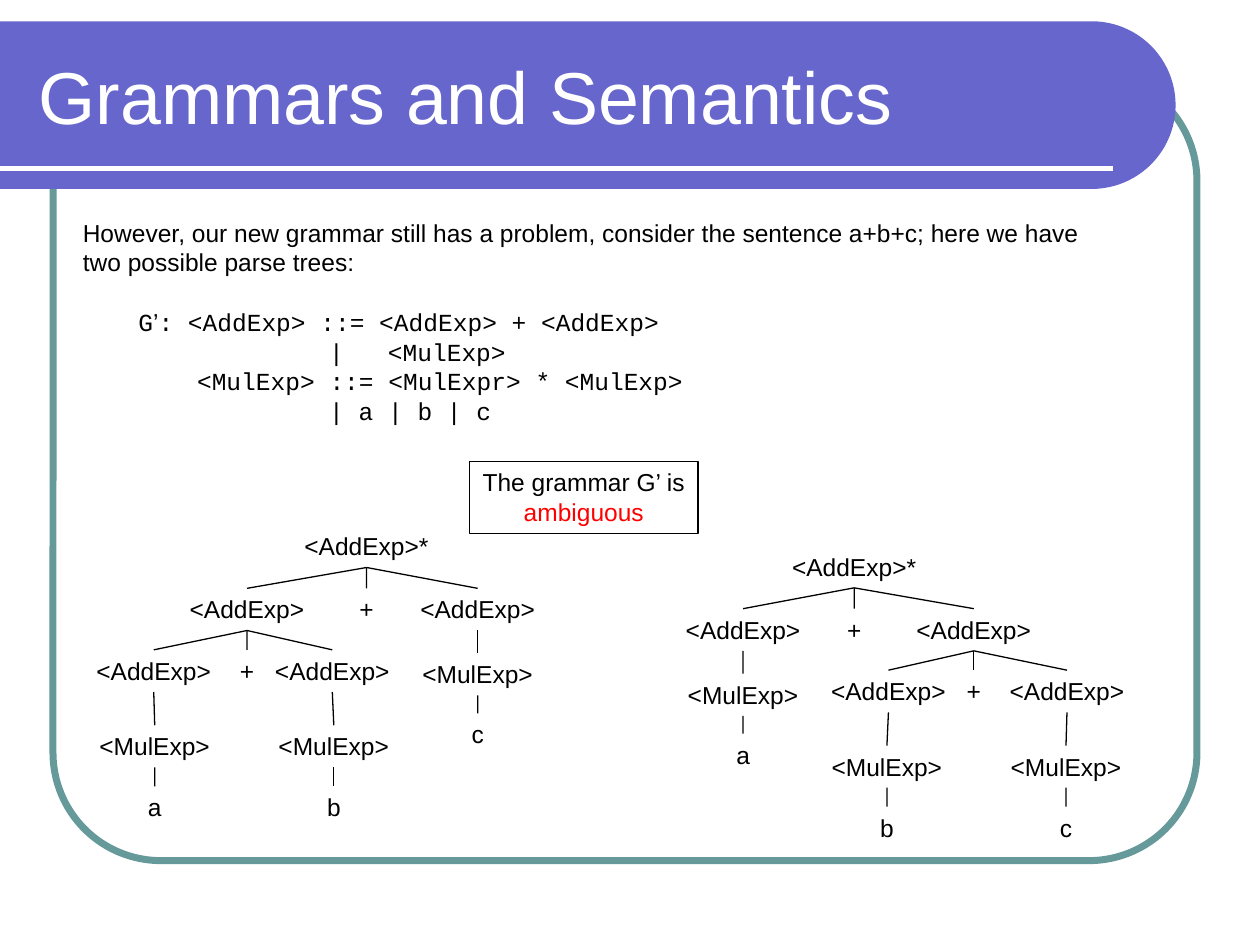
from math import cos, pi, sin

from lxml.etree import SubElement
from pptx import Presentation
from pptx.dml.color import RGBColor
from pptx.enum.shapes import MSO_CONNECTOR, MSO_SHAPE
from pptx.enum.text import MSO_ANCHOR, PP_ALIGN
from pptx.oxml.ns import qn
from pptx.util import Cm, Pt

BLACK, WHITE, RED = "000000", "FFFFFF", "FF0000"
TEAL, VIOLET = "669999", "6666CC"
color = RGBColor.from_string

presentation = Presentation()
presentation.slide_width, presentation.slide_height = Cm(25.4), Cm(19.05)
slide = presentation.slides.add_slide(presentation.slide_layouts[6])
shapes = slide.shapes


def add_text(left, top, width, height, lines, size=14, font="Arial",
             text_color=BLACK, alignment=PP_ALIGN.LEFT):
    """Add an unwrapped text box with one paragraph per line."""
    box = shapes.add_textbox(Cm(left), Cm(top), Cm(width), Cm(height))
    frame = box.text_frame
    frame.word_wrap = False
    frame.text = "\n".join(lines)
    for paragraph in frame.paragraphs:
        paragraph.alignment = alignment
        paragraph.font.size = Pt(size)
        paragraph.font.name = font
        paragraph.font.color.rgb = color(text_color)
    return box


def add_line(start, end, line_color=BLACK, width=0.75):
    line = shapes.add_connector(
        MSO_CONNECTOR.STRAIGHT, *(Cm(value) for value in (*start, *end)))
    line.line.color.rgb = color(line_color)
    line.line.width = Pt(width)
    SubElement(line._element.spPr, qn("a:effectLst"))
    return line


# Frame and title band
frame_shape = shapes.add_shape(
    MSO_SHAPE.ROUNDED_RECTANGLE, Cm(1.07), Cm(1.47), Cm(23.06), Cm(15.88))
frame_shape.adjustments[0] = 0.137
frame_shape.shadow.inherit = False
frame_shape.fill.background()
frame_shape.line.color.rgb = color(TEAL)
frame_shape.line.width = Pt(4)

band_top, radius, arc_x = 0.43, 1.69, 22.01
arc_steps = 48
arc = []
for step in range(arc_steps + 1):
    angle = pi * step / arc_steps - pi / 2
    arc.append((Cm(arc_x + radius * cos(angle)),
                Cm(band_top + radius + radius * sin(angle))))
builder = shapes.build_freeform(0, Cm(band_top))
builder.add_line_segments(arc + [(0, Cm(band_top + 2 * radius))], close=True)
band = builder.convert_to_shape()
band.shadow.inherit = False
band.fill.solid()
band.fill.fore_color.rgb = color(VIOLET)
band.line.fill.background()
add_line((0, 3.39), (22.43, 3.39), WHITE, 3)

title = add_text(0.53, 0.64, 22.28, 2.54, ["Grammars and Semantics"],
                 size=42, text_color=WHITE)
title.text_frame.word_wrap = True
title.text_frame.vertical_anchor = MSO_ANCHOR.MIDDLE

# Introduction and grammar
add_text(1.42, 4.27, 20.78, 1.45, [
    "However, our new grammar still has a problem, consider the sentence "
    "a+b+c; here we have",
    "two possible parse trees:",
])

grammar = add_text(2.54, 6.07, 12, 2.64, [
    "",
    "\t|\t<MulExp>",
    "\t<MulExp> ::= <MulExpr> * <MulExp>",
    "\t| a | b | c",
], font="Courier New")
grammar.text_frame.word_wrap = True
character_width = 0.296
tab_columns = [[], [13, 17], [4], [13]]
for paragraph, columns in zip(grammar.text_frame.paragraphs, tab_columns):
    if columns:
        properties = paragraph._p.get_or_add_pPr()
        tab_list = SubElement(properties, qn("a:tabLst"))
        properties.defRPr.addprevious(tab_list)
        for column in columns:
            SubElement(tab_list, qn("a:tab"),
                       pos=str(Cm(column * character_width)), algn="l")
first_rule = grammar.text_frame.paragraphs[0]
for text, font in (("G", "Courier New"), ("’", "Arial"),
                   (": <AddExp> ::= <AddExp> + <AddExp>", "Courier New")):
    run = first_rule.add_run()
    run.text = text
    run.font.name = font

# Conclusion
conclusion = add_text(9.47, 9.3, 4.6, 1.45, [""], alignment=PP_ALIGN.CENTER)
conclusion.line.color.rgb = color(BLACK)
conclusion.line.width = Pt(0.75)
paragraph = conclusion.text_frame.paragraphs[0]
paragraph.add_run().text = "The grammar G’ is"
paragraph.add_line_break()
run = paragraph.add_run()
run.text = "ambiguous"
run.font.color.rgb = color(RED)

# Parse trees: the right tree mirrors the left one
NODE_HEIGHT = 0.85
node_widths = {"<AddExp>*": 3.3, "<AddExp>": 2.86, "<MulExp>": 2.78}
trees = [  # root x, root y, direction, leaves (short, outer, inner)
    (17.22, 11, -1, "acb"),
    (7.39, 10.59, 1, "cab"),
]
for root_x, root_y, direction, (short, outer, inner) in trees:
    nodes = [  # label, parent index, x offset, y offset
        ("<AddExp>*", None, 0, 0),
        ("<AddExp>", 0, 2.24, 1.27),
        ("+", 0, 0, 1.27),
        ("<AddExp>", 0, -2.41, 1.27),
        ("<MulExp>", 1, 2.24, 2.58),
        (short, 4, 2.24, 3.79),
        ("<AddExp>", 3, -4.29, 2.51),
        ("+", 3, -2.41, 2.51),
        ("<AddExp>", 3, -0.69, 2.51),
        ("<MulExp>", 6, -4.27, 4.03),
        ("<MulExp>", 8, -0.66, 4.03),
        (outer, 9, -4.27, 5.26),
        (inner, 10, -0.66, 5.26),
    ]
    boxes = []
    for label, parent, offset_x, offset_y in nodes:
        x, y = root_x + direction * offset_x, root_y + offset_y
        width = node_widths.get(label, 0.79)
        box = add_text(x - width / 2, y, width, NODE_HEIGHT, [label],
                       alignment=PP_ALIGN.CENTER)
        boxes.append(box)
        if parent is not None:
            branch = add_line((x, y), (x, y))
            branch.begin_connect(boxes[parent], 2)
            branch.end_connect(box, 0)

presentation.save("out.pptx")
